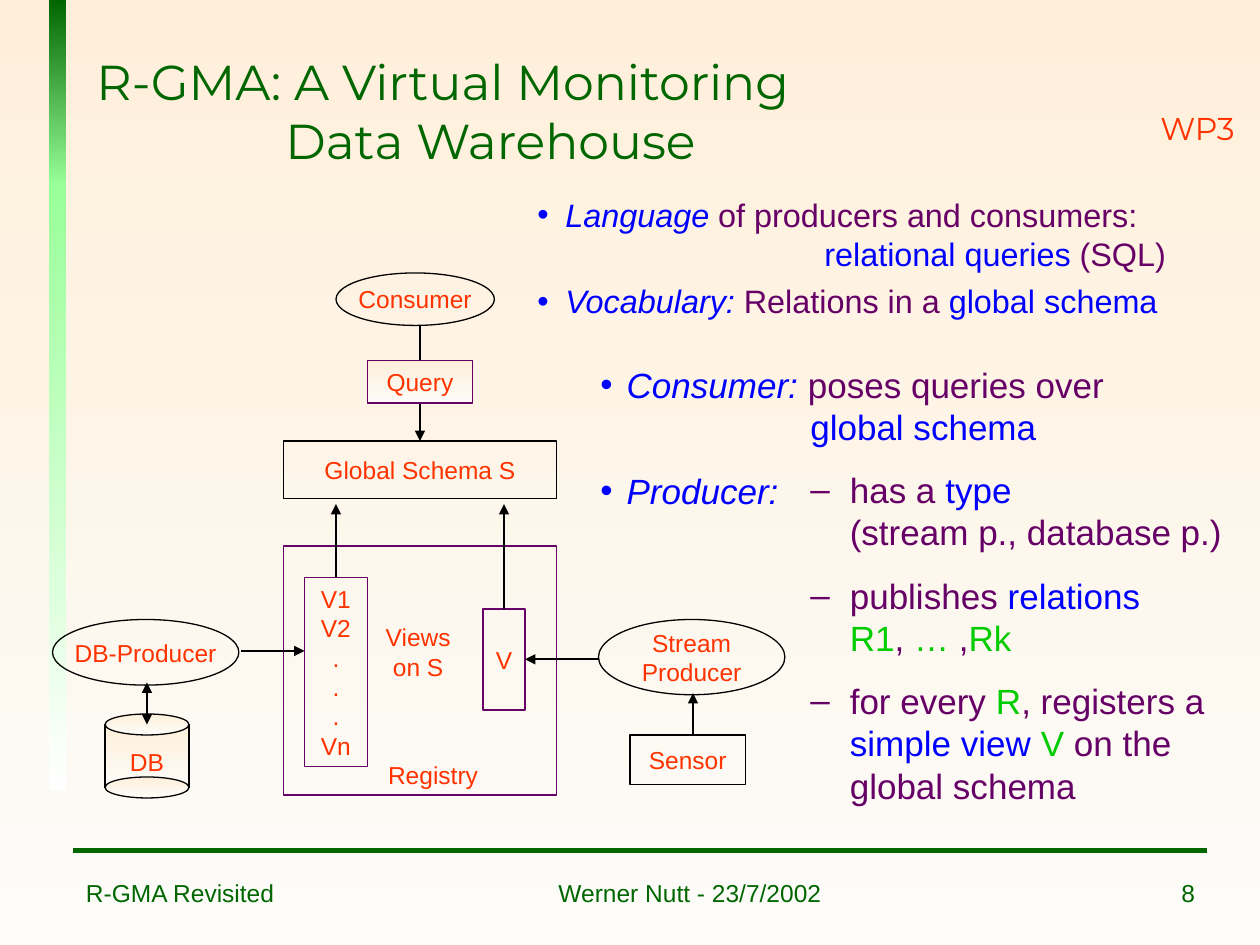
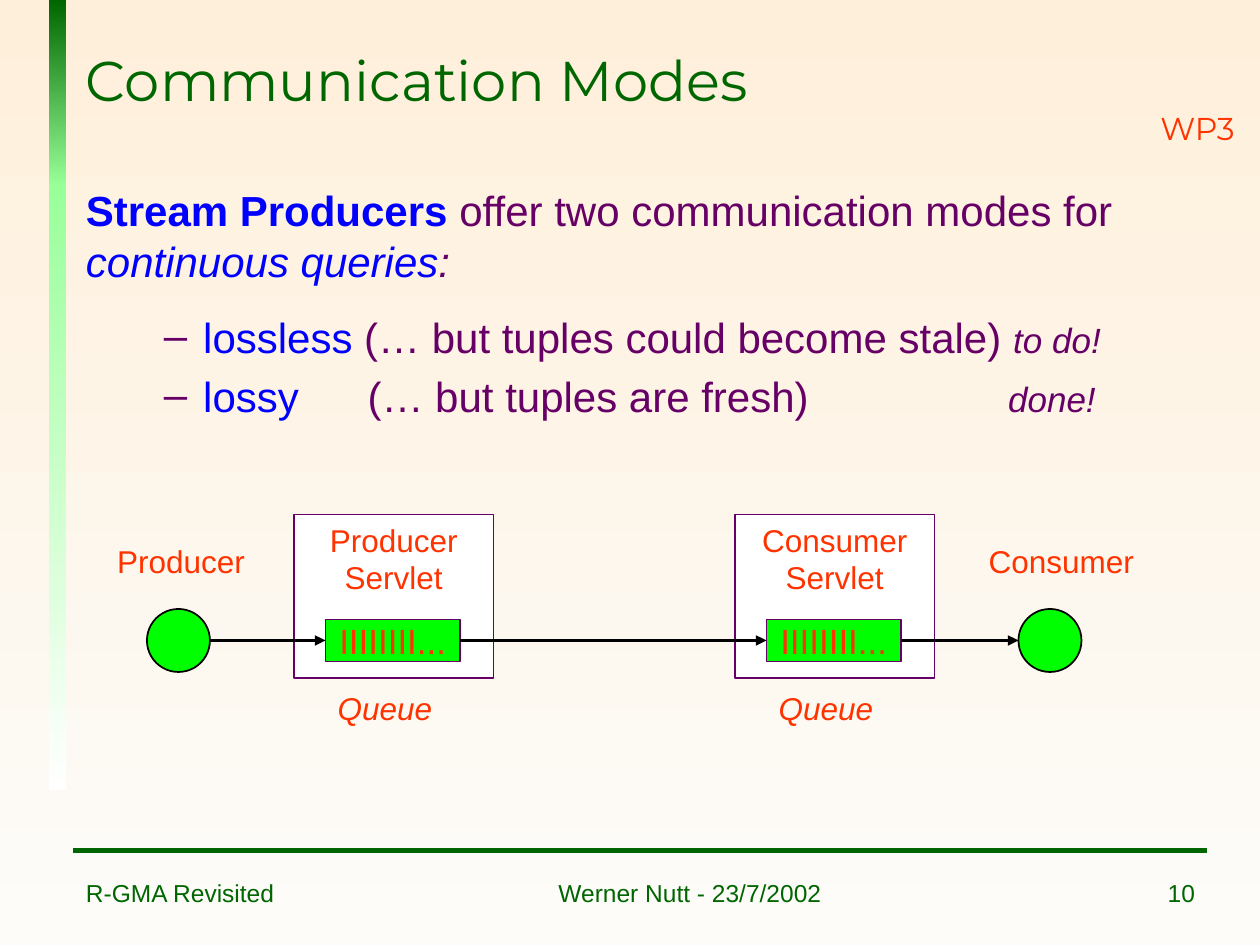
from dataclasses import dataclass
from lxml.etree import SubElement
from pptx import Presentation
from pptx.dml.color import RGBColor
from pptx.enum.shapes import MSO_CONNECTOR, MSO_SHAPE
from pptx.enum.text import MSO_ANCHOR, PP_ALIGN
from pptx.oxml.ns import qn
from pptx.util import Pt

HUES = {
    "green": "006600", "mint": "99FF99", "white": "FFFFFF",
    "sand": "FEEFDA", "cream": "FDFCF9", "black": "000000",
    "blue": "0000FF", "plum": "660066", "red": "FF3300",
    "leaf": "00CC00", "lime": "00FF00",
}
PAPER = ("sand", "cream")
BODY, HEAD = "Arial", "Montserrat"
LEAD = 1.2  # line height of body text, in font sizes
LEFT, MID, RIGHT = PP_ALIGN.LEFT, PP_ALIGN.CENTER, PP_ALIGN.RIGHT
RECT, OVAL = MSO_SHAPE.RECTANGLE, MSO_SHAPE.OVAL


def tint(name):
    return RGBColor.from_string(HUES[name])


def blend(fill, pair):
    """Fill from top to bottom with two colours."""
    fill.gradient()
    fill.gradient_angle = 270
    for stop, name in zip(fill.gradient_stops, pair):
        stop.color.rgb = tint(name)


@dataclass
class Para:
    """Runs are (text, colour, marks, size); marks holds b and i."""
    runs: list
    mark: str = ""
    hue: str = "blue"
    left: float = 0
    hang: float = 0
    gap: float = 0


class Deck:
    def __init__(self):
        self.show = Presentation()
        self.show.slide_width, self.show.slide_height = Pt(720), Pt(540)
        self.slide = None

    # Text
    def add_text(self, frame, paras, size, font=BODY, align=LEFT):
        for num, para in enumerate(paras):
            line = frame.paragraphs[0] if num == 0 else frame.add_paragraph()
            line.alignment = align
            line.space_before = Pt(para.gap)
            if font == BODY:
                line.line_spacing = Pt(size * LEAD)
            props = line._p.get_or_add_pPr()
            props.set("marL", str(Pt(para.left)))
            props.set("indent", str(Pt(-para.hang)))
            if para.mark:
                shade = SubElement(props, qn("a:buClr"))
                SubElement(shade, qn("a:srgbClr"), val=HUES[para.hue])
                SubElement(props, qn("a:buFont"), typeface=BODY)
                SubElement(props, qn("a:buChar"), char=para.mark)
            else:
                SubElement(props, qn("a:buNone"))
            for run in para.runs:
                self.add_run(line, size, font, *run)

    def add_run(self, line, size, font, text, hue, marks="", own=None):
        for num, part in enumerate(text.split("\n")):
            if num:
                line.add_line_break()
            if part:
                run = line.add_run()
                run.text = part
                run.font.name, run.font.size = font, Pt(own or size)
                run.font.bold, run.font.italic = "b" in marks, "i" in marks
                run.font.color.rgb = tint(hue)

    def text(self, x, y, w, h, paras, size, font=BODY, align=LEFT,
             anchor=MSO_ANCHOR.TOP):
        box = self.slide.shapes.add_textbox(Pt(x), Pt(y), Pt(w), Pt(h))
        box.text_frame.word_wrap = True
        box.text_frame.vertical_anchor = anchor
        self.add_text(box.text_frame, paras, size, font, align)

    def label(self, mid, y, text, size=14, marks=""):
        """Red caption centred on mid."""
        high = size * LEAD * (text.count("\n") + 1) + 7.2
        self.text(mid - 54, y, 108, high,
                  [Para([(text, "red", marks)])], size, align=MID)

    # Shapes and lines
    def shape(self, kind, x, y, w, h, fill=None, edge="black", thick=0.75,
              text="", size=14, anchor=MSO_ANCHOR.MIDDLE, pad=0):
        form = self.slide.shapes.add_shape(kind, Pt(x), Pt(y), Pt(w), Pt(h))
        form.shadow.inherit = False
        if isinstance(fill, tuple):
            blend(form.fill, fill)
        elif fill:
            form.fill.solid()
            form.fill.fore_color.rgb = tint(fill)
        else:
            form.fill.background()
        if edge:
            form.line.color.rgb = tint(edge)
            form.line.width = Pt(thick)
        else:
            form.line.fill.background()
        if text:
            frame = form.text_frame
            frame.word_wrap = False
            frame.vertical_anchor = anchor
            frame.margin_left = frame.margin_right = 0
            frame.margin_top = frame.margin_bottom = Pt(pad)
            self.add_text(frame, [Para([(text, "red")])], size, align=MID)
        return form

    def link(self, start, end, thick=1, hue="black", tips=("tailEnd",)):
        """Each end is a point or a pair of shape and side."""
        spots = [p if isinstance(p[0], (int, float)) else (0, 0)
                 for p in (start, end)]
        line = self.slide.shapes.add_connector(
            MSO_CONNECTOR.STRAIGHT, *(Pt(v) for p in spots for v in p))
        for spot, join in ((start, line.begin_connect), (end, line.end_connect)):
            if not isinstance(spot[0], (int, float)):
                join(*spot)
        line.line.color.rgb = tint(hue)
        line.line.width = Pt(thick)
        props = line._element.spPr
        for tip in tips:
            SubElement(props.find(qn("a:ln")), qn("a:" + tip), type="triangle")
        SubElement(props, qn("a:effectLst"))

    # Shared page parts
    def page(self, num, title, spot, size):
        self.slide = self.show.slides.add_slide(self.show.slide_layouts[6])
        blend(self.slide.background.fill, PAPER)
        self.shape(RECT, 28, 0, 10, 106.5, ("green", "mint"), None)
        self.shape(RECT, 28, 105, 10, 346.5, ("mint", "white"), None)
        self.link((42, 486), (690, 486), 3, "green", ())
        self.text(656, 59, 66, 29, [Para([("WP3", "red")])], 18, HEAD)
        self.text(*spot, title, size, HEAD, anchor=MSO_ANCHOR.MIDDLE)
        for x, w, words, align in (
                (42, 264, "R-GMA Revisited", LEFT),
                (312, 306, "Werner Nutt - 23/7/2002", LEFT),
                (624, 66, str(num), RIGHT)):
            self.text(x, 498, w, 36, [Para([(words, "green")])], 14,
                      align=align)


def add_model(deck):
    deck.page(8, [Para([("R-GMA: A Virtual Monitoring", "green")]),
                  Para([("Data Warehouse", "green")], left=108)],
              (48, 30, 480, 66), 28)

    # Language and vocabulary
    dot = dict(mark="•", left=16, hang=16)
    deck.text(300, 108, 402, 90, [
        Para([("Language", "blue", "i"),
              (" of producers and consumers:", "plum")], **dot),
        Para([("relational queries", "blue"), (" (SQL)", "plum")], left=164),
        Para([("Vocabulary:", "blue", "i"), (" Relations in a ", "plum"),
              ("global schema", "blue")], gap=5, **dot),
    ], 18.5)

    # Roles
    dot = dict(mark="•", left=15, hang=15)
    deck.text(336, 204, 366, 92, [
        Para([("Consumer:", "blue", "i"), (" poses queries over", "plum")],
             **dot),
        Para([("global schema", "blue")], left=120),
        Para([("Producer:", "blue", "i")], gap=12.5, **dot),
    ], 20)
    dash = dict(mark="–", hue="plum", left=22.5, hang=22.5)
    deck.text(456, 264, 264, 200, [
        Para([("has a ", "plum"), ("type\n", "blue"),
              ("(stream p., database p.)", "plum")], **dash),
        Para([("publishes ", "plum"), ("relations\n", "blue"),
              ("R1", "leaf"), (",", "plum"), (" … ", "leaf"),
              (",", "plum"), ("Rk", "leaf")], gap=12.5, **dash),
        Para([("for every ", "plum"), ("R", "leaf"),
              (", registers a ", "plum"), ("simple view ", "blue"),
              ("V", "leaf"), (" on the global schema", "plum")],
             gap=12.5, **dash),
    ], 20)

    # Consumer side
    deck.shape(OVAL, 192, 156, 90.5, 30, text="Consumer")
    schema = deck.shape(RECT, 162, 252, 156, 33, text="Global Schema S")
    deck.link((240, 186), (schema, 0))
    deck.shape(RECT, 210, 206, 60, 24.5, PAPER, "plum", 1, "Query")

    # Registry with its views
    deck.shape(RECT, 162, 312, 156, 142.5, None, "plum", 1)
    deck.label(239, 352, "Views\non S")
    deck.label(247.5, 430.5, "Registry")
    views = deck.shape(RECT, 174, 330, 36, 108, None, "plum", 1,
                       "V1\nV2\n.\n.\n.\nVn")
    view = deck.shape(RECT, 276, 348, 24, 57.6, None, "plum", 1, "V")
    for form, x in ((views, 192), (view, 288)):
        deck.link((form, 0), (x, 288))

    # Database producer
    deck.shape(OVAL, 30, 354, 106.5, 37.5, text="DB-Producer")
    tank = deck.shape(RECT, 60, 414, 48, 36, PAPER)
    for y in (444, 408):
        deck.shape(OVAL, 60, y, 48, 12, PAPER)
    deck.label(84, 423.5, "DB")
    deck.link((tank, 0), (84, 390), tips=("headEnd", "tailEnd"))
    deck.link((138, 372), (174, 372))

    # Stream producer
    deck.shape(OVAL, 342, 354, 106.5, 43, text="Stream\nProducer")
    deck.shape(RECT, 360, 420, 66, 28.5, text="Sensor")
    deck.link((396, 420), (396, 396))
    deck.link((342, 376.8), (view, 3))


def add_modes(deck):
    deck.page(10, [Para([("Communication Modes", "green")])],
              (42, 18, 588, 54), 32)

    # Modes
    dash = dict(mark="–", hue="plum", left=67, hang=22.5)
    deck.text(42, 102, 630, 162, [
        Para([("Stream Producers", "blue", "b"),
              (" offer two communication modes for ", "plum"),
              ("continuous queries", "blue", "i"), (":", "plum", "i")]),
        Para([("lossless", "blue"),
              (" (… but tuples could become stale) ", "plum"),
              ("to do!", "plum", "i", 20)], gap=14.6, **dash),
        Para([("lossy", "blue")], gap=5, **dash),
    ], 24)
    deck.text(203, 208, 300, 36,
              [Para([("(… but tuples are fresh)", "plum")])], 24)
    deck.text(569, 212, 80, 32, [Para([("done!", "plum", "i")])], 20)

    # Servlets with their queues
    queues = []
    for x, role in ((168, "Producer"), (420, "Consumer")):
        deck.shape(RECT, x, 294, 114, 93.6, "white", "plum", 1,
                   role + "\nServlet", 18, MSO_ANCHOR.TOP, 3.6)
        queues.append(deck.shape(RECT, x + 18, 354, 77, 24, "lime", "plum", 1,
                                 "IIIIIIII...", 20))
        deck.label(x + 52, 390, "Queue", 18, "i")

    # Outer ends
    for x, mid, role in ((84, 103.5, "Producer"), (582, 606.5, "Consumer")):
        deck.label(mid, 306, role, 18)
        deck.shape(OVAL, x, 348, 36, 36, "lime", thick=1)

    # Flow
    first, last = queues
    deck.link((120, 366), (first, 1), 2)
    deck.link((first, 3), (last, 1), 2)
    deck.link((last, 3), (582, 366), 2)


def main():
    deck = Deck()
    add_model(deck)
    add_modes(deck)
    deck.show.save("out.pptx")


if __name__ == "__main__":
    main()
